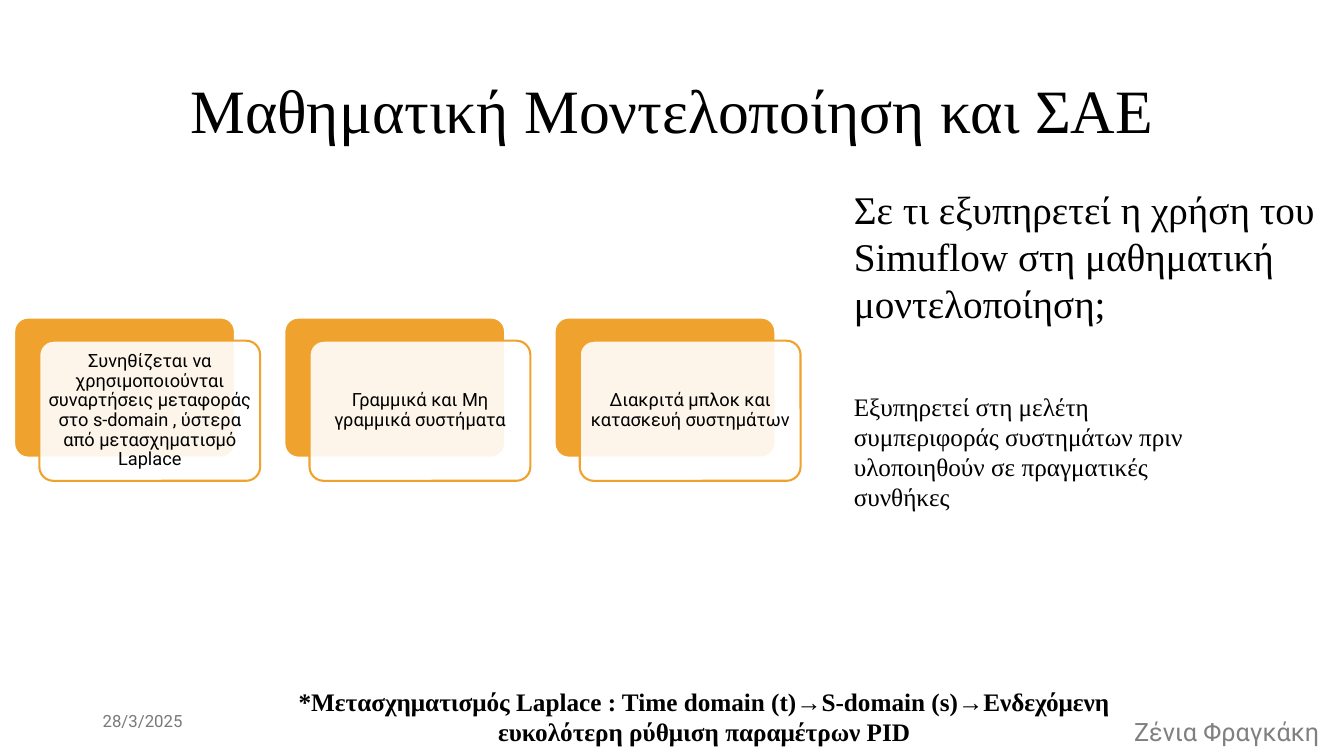
from lxml.etree import SubElement
from pptx import Presentation
from pptx.dml.color import RGBColor
from pptx.enum.shapes import MSO_SHAPE
from pptx.enum.text import MSO_ANCHOR, MSO_AUTO_SIZE, PP_ALIGN
from pptx.oxml.ns import qn
from pptx.util import Pt

SCALE = 9144
SERIF, SANS = "Times New Roman", "Roboto"
BLACK, WHITE, AMBER = "000000", "FFFFFF", "F0A22E"


def px(length):
    """Turn px, 100 to the inch, into EMU."""
    return length * SCALE


def colour(code):
    """Turn a hex string into a colour."""
    return RGBColor.from_string(code)


class Page:
    """Hold the style and the current slide."""

    def __init__(self, deck):
        """Add a title-only slide."""
        self.slide = deck.slides.add_slide(deck.slide_layouts[5])

    def put_text(self, shape, text, size, face=SERIF, code=BLACK, bold=False,
                 para_format=None, frame_format=None):
        """Put one formatted paragraph into a shape."""
        frame = shape.text_frame
        frame.word_wrap = True
        for name, value in (frame_format or {}).items():
            setattr(frame, name, value)
        para = frame.paragraphs[0]
        for name, value in (para_format or {}).items():
            setattr(para, name, value)
        span = para.add_run()
        span.text = text
        for name, value in {"size": Pt(size), "name": face, "bold": bold}.items():
            setattr(span.font, name, value)
        span.font.color.rgb = colour(code)

    def title(self, place, text, size):
        """Move and format the title placeholder."""
        box = self.slide.shapes.title
        for name, value in zip(("left", "top", "width", "height"), place):
            setattr(box, name, px(value))
        self.put_text(box, text, size,
                      para_format={"alignment": PP_ALIGN.CENTER, "line_spacing": 0.9},
                      frame_format={"vertical_anchor": MSO_ANCHOR.MIDDLE,
                                    "auto_size": MSO_AUTO_SIZE.NONE})

    def text(self, place, text, size, anchor=MSO_ANCHOR.TOP,
             align=PP_ALIGN.LEFT, **style):
        """Add a wrapped text box."""
        box = self.slide.shapes.add_textbox(*map(px, place))
        self.put_text(box, text, size, para_format={"alignment": align},
                      frame_format={"vertical_anchor": anchor}, **style)

    def panel(self, place, fill, line, opacity=100):
        """Add a rounded rectangle."""
        shape = self.slide.shapes.add_shape(MSO_SHAPE.ROUNDED_RECTANGLE, *map(px, place))
        shape.adjustments[0] = 0.1
        shape.shadow.inherit = False
        shape.fill.solid()
        shape.fill.fore_color.rgb = colour(fill)
        shape.line.color.rgb = colour(line)
        shape.line.width = Pt(1.5)
        if opacity < 100:
            tint = shape.element.spPr.find(qn("a:solidFill")).find(qn("a:srgbClr"))
            SubElement(tint, qn("a:alpha"), val=str(opacity * 1000))
        return shape

    def card(self, left, top, text):
        """Add an amber panel with a captioned translucent panel over it."""
        width, height = 219, 139
        self.panel((left, top, width, height), AMBER, WHITE)
        front = self.panel((left + 25, top + 23, width, height), WHITE, AMBER, 90)
        margins = {"margin_" + side: px(5) for side in ("left", "top", "right", "bottom")}
        self.put_text(front, text, 13, SANS,
                      para_format={"alignment": PP_ALIGN.CENTER, "line_spacing": 0.9},
                      frame_format={"vertical_anchor": MSO_ANCHOR.MIDDLE, **margins})


def main():
    """Build and save the deck."""
    deck = Presentation()
    deck.slide_width, deck.slide_height = px(1333), px(750)
    page = Page(deck)
    page.title((92, 40, 1150, 145), "Μαθηματική Μοντελοποίηση και ΣΑΕ", 44)

    topics = (
        "Συνηθίζεται να χρησιμοποιούνται συναρτήσεις μεταφοράς στο s-domain , "
        "ύστερα από μετασχηματισμό Laplace",
        "Γραμμικά και Μη γραμμικά συστήματα",
        "Διακριτά μπλοκ και κατασκευή συστημάτων",
    )
    for column, topic in enumerate(topics):
        page.card(14 + 268 * column, 315, topic)

    page.text((837, 179, 556, 151),
              "Σε τι εξυπηρετεί η χρήση του Simuflow στη μαθηματική μοντελοποίηση;", 28)
    page.text((837, 383, 373, 131),
              "Εξυπηρετεί στη μελέτη συμπεριφοράς συστημάτων πριν υλοποιηθούν σε "
              "πραγματικές συνθήκες", 18)
    page.text((248, 676, 901, 71),
              "*Μετασχηματισμός Laplace : Time domain (t)→S-domain (s)→Ενδεχόμενη "
              "ευκολότερη ρύθμιση παραμέτρων PID", 18, align=PP_ALIGN.CENTER, bold=True)
    page.text((92, 695, 300, 40), "28/3/2025", 12, MSO_ANCHOR.MIDDLE,
              face=SANS, code="797979")
    page.text((1115, 706, 696, 40), "Ζένια Φραγκάκη", 18, face=SANS, code="808080")
    deck.save("out.pptx")


if __name__ == "__main__":
    main()
